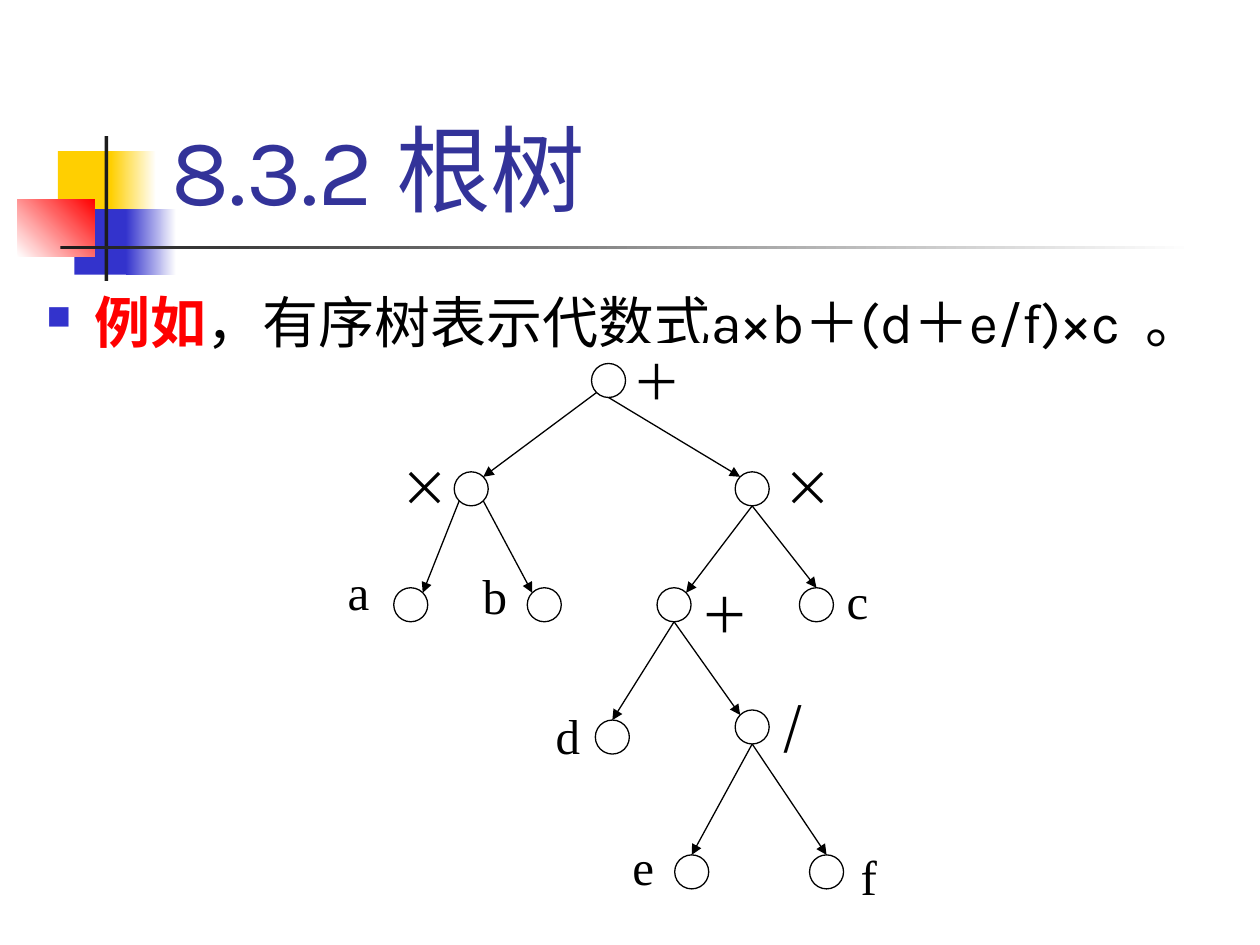
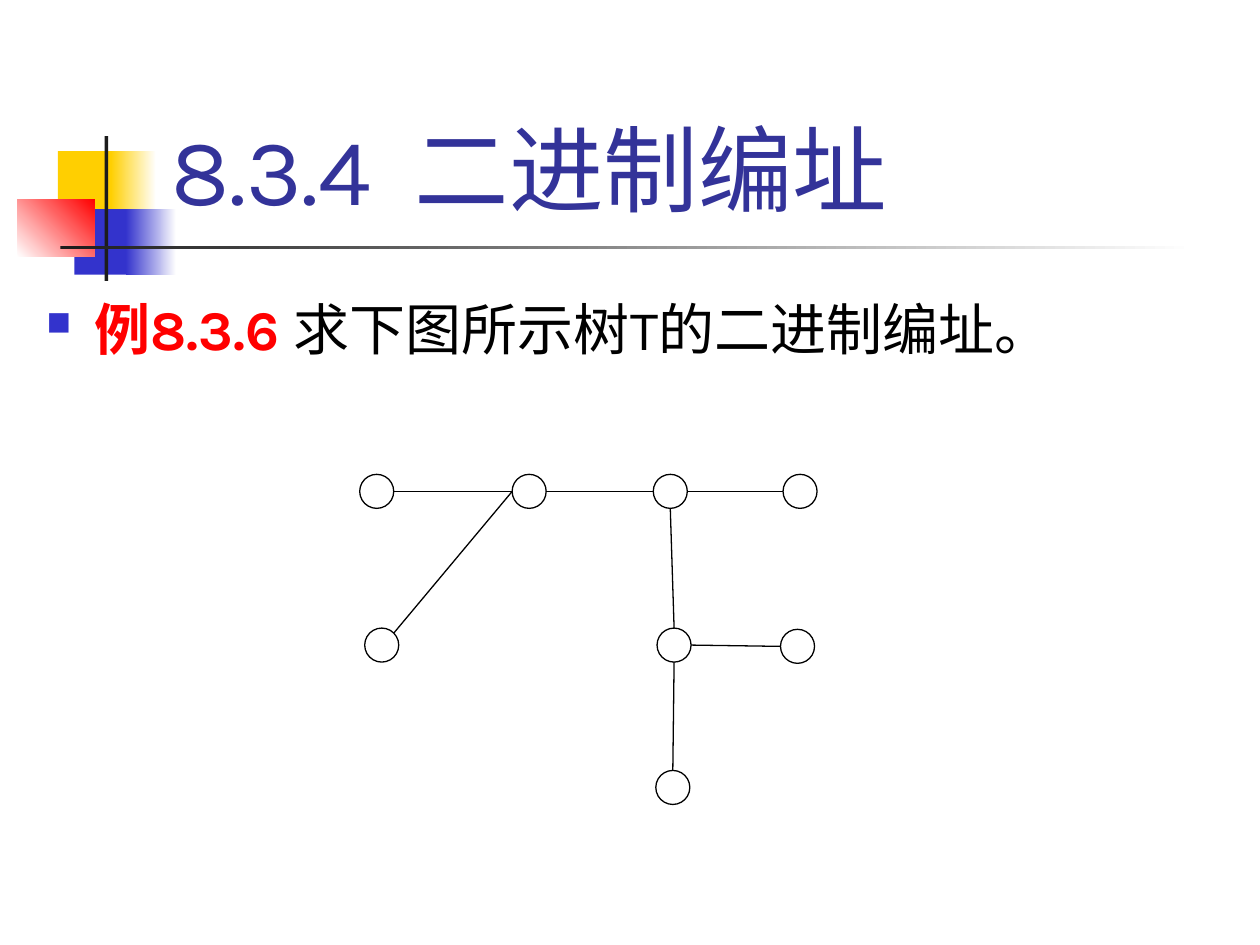
from lxml.etree import SubElement
from pptx import Presentation
from pptx.dml.color import RGBColor
from pptx.enum.shapes import MSO_CONNECTOR, MSO_SHAPE
from pptx.enum.text import MSO_ANCHOR, MSO_AUTO_SIZE, PP_ALIGN
from pptx.oxml.ns import qn
from pptx.util import Inches, Pt

WHITE = RGBColor(0xFF, 0xFF, 0xFF)
BLACK = RGBColor(0, 0, 0)
INK = RGBColor(0x1C, 0x1C, 0x1C)
YELLOW = RGBColor(0xFF, 0xCF, 0x01)
BLUE = RGBColor(0x33, 0x33, 0xCC)
RED = RGBColor(0xFF, 0, 0)
TITLE_BLUE = RGBColor(0x33, 0x33, 0x99)

LATIN, CJK, SERIF = "Karla", "Noto Sans CJK SC", "Times New Roman"
TITLE_SIZE, BODY_SIZE, LABEL_SIZE = 54, 32, 28
NODE, LABEL_BOX = 0.27, 0.78
WIDE_SPACE = " "  # a run of just this is drawn two spaces wide

# left, top, width, height, colours (one or a gradient pair), gradient angle
BAND = [
    (0.46, 1.2, 0.48, 0.52, [YELLOW], 0),
    (0.88, 1.2, 0.36, 0.52, [YELLOW, WHITE], 0),
    (0.59, 1.66, 0.46, 0.52, [BLUE], 0),
    (1.0, 1.66, 0.4, 0.52, [BLUE, WHITE], 0),
    (0.14, 1.58, 0.61, 0.46, [WHITE, RED], 45),
    (0.83, 1.08, 0.03, 1.15, [INK], 0),
    (0.48, 1.95, 9.0, 0.03, [INK, WHITE], 0),
]

# nodes: key -> centre; labels: text, font, left, top;
# edges: parent, side it leaves, child, side it reaches
SLIDES = [
    {
        "title": ["8.3.2 根树"],
        "body_box": (0.27, 1.97, 9.8, 5.56),
        "lead": "例如",
        "sentence": ["，有序树表示代数式a×b＋(d＋e/f)×c", WIDE_SPACE, "。"],
        "nodes": {
            "root": (4.83, 3.02), "left ×": (3.74, 3.88), "right ×": (5.97, 3.88),
            "a": (3.26, 4.8), "b": (4.32, 4.8), "inner +": (5.35, 4.8), "c": (6.48, 4.8),
            "d": (4.86, 5.85), "/": (5.97, 5.77), "e": (5.49, 6.92), "f": (6.56, 6.92),
        },
        "labels": [
            ("e", SERIF, 4.91, 6.58), ("f", SERIF, 6.72, 6.66),
            ("d", SERIF, 4.3, 5.54), ("/", CJK, 6.11, 5.46),
            ("a", SERIF, 2.65, 4.4), ("b", SERIF, 3.72, 4.43),
            ("＋", CJK, 5.45, 4.58), ("c", SERIF, 6.61, 4.47),
            ("×", CJK, 3.07, 3.57), ("×", CJK, 6.11, 3.57), ("＋", CJK, 4.91, 2.73),
        ],
        "edges": [
            ("root", "SW", "left ×", "NE"), ("root", "S", "right ×", "NW"),
            ("left ×", "SW", "a", "NE"), ("left ×", "SE", "b", "NW"),
            ("right ×", "S", "inner +", "NE"), ("right ×", "S", "c", "N"),
            ("inner +", "S", "d", "N"), ("inner +", "S", "/", "NW"),
            ("/", "S", "e", "N"), ("/", "S", "f", "N"),
        ],
        "directed": True,
    },
    {
        "title": ["8.3.4", WIDE_SPACE, "二进制编址"],
        "body_box": (0.27, 2.02, 9.73, 5.48),
        "lead": "例8.3.6 ",
        "sentence": ["求下图所示树T的二进制编址。"],
        "nodes": {
            "top 1": (2.99, 3.9), "top 2": (4.2, 3.9),
            "top 3": (5.32, 3.9), "top 4": (6.35, 3.9),
            "middle 1": (3.03, 5.12), "middle 3": (5.35, 5.12), "middle 4": (6.33, 5.13),
            "bottom": (5.34, 6.25),
        },
        "labels": [],
        "edges": [
            ("top 1", "E", "top 2", "W"), ("top 2", "E", "top 3", "W"),
            ("top 3", "E", "top 4", "W"), ("top 2", "W", "middle 1", "NE"),
            ("top 3", "S", "middle 3", "N"), ("middle 3", "S", "bottom", "N"),
            ("middle 3", "E", "middle 4", "W"),
        ],
        "directed": False,
    },
]


def inches(*lengths):
    return [Inches(length) for length in lengths]


def style_run(run, size, colour, font=LATIN, bold=False):
    run.font.size, run.font.bold, run.font.name = Pt(size), bold, font
    run.font.color.rgb = colour
    properties = run.font._element
    SubElement(properties, qn("a:ea"), typeface=CJK)
    if run.text == WIDE_SPACE:
        properties.set("spc", str(round(22 * size)))


def add_runs(paragraph, pieces, size, colour, bold=False):
    for piece in pieces:
        run = paragraph.add_run()
        run.text = piece
        style_run(run, size, colour, bold=bold)


def add_preset(slide, preset, box, fill, outline=None):
    shape = slide.shapes.add_shape(preset, *inches(*box))
    shape.shadow.inherit = False
    if len(fill) == 1:
        shape.fill.solid()
        shape.fill.fore_color.rgb = fill[0]
    else:
        shape.fill.gradient()
        for stop, colour in zip(shape.fill.gradient_stops, fill):
            stop.color.rgb = colour
    if outline is None:
        shape.line.fill.background()
    else:
        shape.line.color.rgb = outline
        shape.line.width = Pt(0.75)
    return shape


def add_band(slide, layout):
    """Draw the band and hand it to the layout, so every slide shows it."""
    for position, (*box, colours, angle) in enumerate(BAND, start=2):
        part = add_preset(slide, MSO_SHAPE.RECTANGLE, box, colours)
        if len(colours) > 1:
            part.fill.gradient_angle = angle
        layout.shapes.element.insert(position, part._element)


def set_title(slide, pieces):
    title = slide.shapes.title
    title.left, title.top, title.width, title.height = inches(1.26, 0.23, 8.52, 1.6)
    frame = title.text_frame
    frame.auto_size = MSO_AUTO_SIZE.NONE
    frame.vertical_anchor = MSO_ANCHOR.BOTTOM
    frame.paragraphs[0].alignment = PP_ALIGN.LEFT
    add_runs(frame.paragraphs[0], pieces, TITLE_SIZE, TITLE_BLUE)


def add_body(slide, box, lead, sentence):
    frame = slide.shapes.add_textbox(*inches(*box)).text_frame
    frame.word_wrap = True
    paragraph = frame.paragraphs[0]
    paragraph.line_spacing = 1.5
    properties = paragraph._p.get_or_add_pPr()
    properties.set("marL", str(Inches(0.38)))
    properties.set("indent", str(-Inches(0.38)))
    SubElement(SubElement(properties, qn("a:buClr")), qn("a:srgbClr"), val=str(BLUE))
    SubElement(properties, qn("a:buSzPct"), val="60000")
    SubElement(properties, qn("a:buChar"), char="■")
    add_runs(paragraph, [lead], BODY_SIZE, RED, bold=True)
    add_runs(paragraph, sentence, BODY_SIZE, BLACK)


def add_label(slide, text, font, left, top):
    label = add_preset(slide, MSO_SHAPE.RECTANGLE,
                       (left, top, LABEL_BOX, LABEL_BOX), [WHITE], WHITE)
    frame = label.text_frame
    frame.margin_left = frame.margin_right = Inches(0.11)
    frame.margin_top = frame.margin_bottom = Inches(0.06)
    frame.vertical_anchor = MSO_ANCHOR.TOP
    frame.text = text
    frame.paragraphs[0].alignment = PP_ALIGN.LEFT
    style_run(frame.paragraphs[0].runs[0], LABEL_SIZE, BLACK, font)


def rim_point(centre, side):
    """Point on a node's circle at a compass side such as "N" or "SW"."""
    dx = ("E" in side) - ("W" in side)
    dy = ("S" in side) - ("N" in side)
    reach = NODE / 2 / (dx * dx + dy * dy) ** 0.5
    return centre[0] + dx * reach, centre[1] + dy * reach


def add_edge(slide, start, end, directed):
    edge = slide.shapes.add_connector(MSO_CONNECTOR.STRAIGHT, *inches(*start, *end))
    edge.line.color.rgb = BLACK
    edge.line.width = Pt(0.75)
    if directed:
        SubElement(edge.line._get_or_add_ln(), qn("a:tailEnd"), type="triangle")
    SubElement(edge._element.spPr, qn("a:effectLst"))


def add_tree(slide, nodes, labels, edges, directed):
    for label in labels:
        add_label(slide, *label)
    for x, y in nodes.values():
        add_preset(slide, MSO_SHAPE.OVAL,
                   (x - NODE / 2, y - NODE / 2, NODE, NODE), [WHITE], BLACK)
    for parent, leaving, child, reaching in edges:
        add_edge(slide, rim_point(nodes[parent], leaving),
                 rim_point(nodes[child], reaching), directed)


def main():
    deck = Presentation()
    deck.slide_width, deck.slide_height = inches(10, 7.5)
    title_only = deck.slide_layouts[5]
    for number, content in enumerate(SLIDES):
        slide = deck.slides.add_slide(title_only)
        if number == 0:
            add_band(slide, title_only)
        set_title(slide, content["title"])
        add_body(slide, content["body_box"], content["lead"], content["sentence"])
        add_tree(slide, content["nodes"], content["labels"],
                 content["edges"], content["directed"])
    deck.save("out.pptx")


if __name__ == "__main__":
    main()
